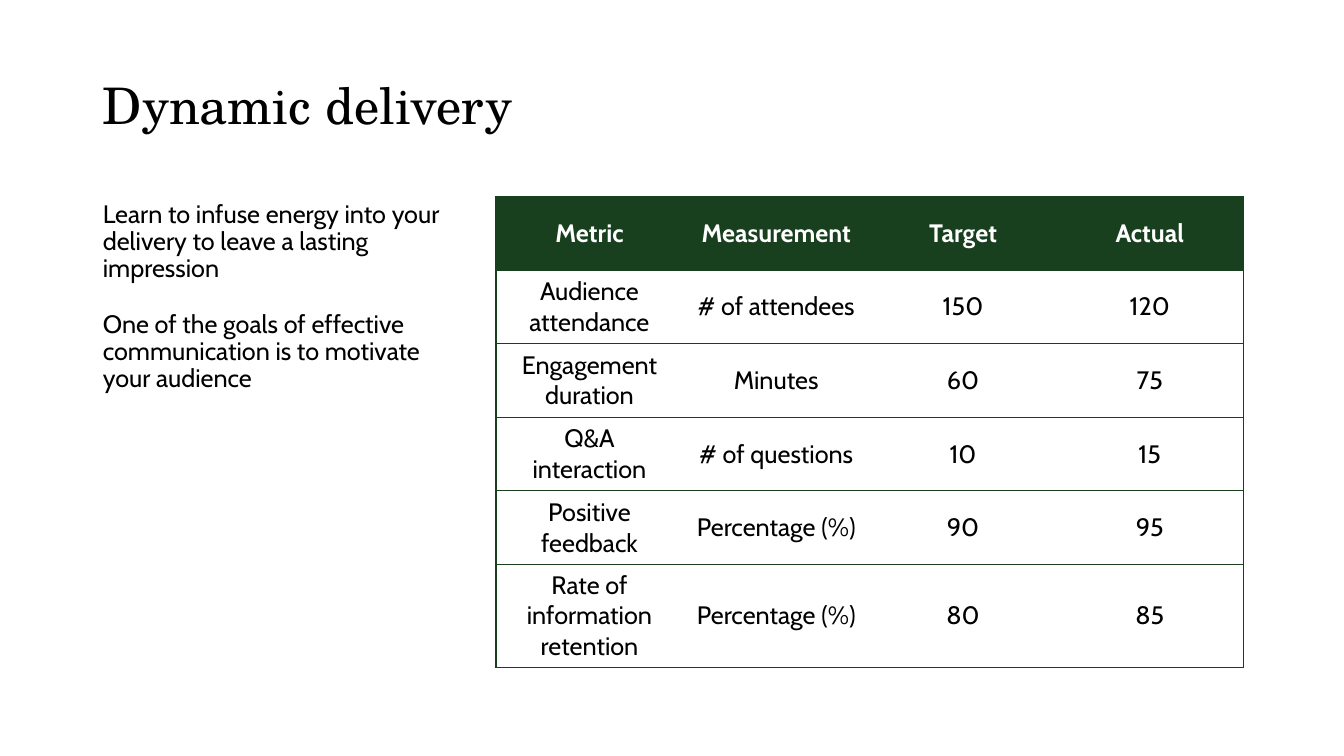
from dataclasses import dataclass

from pptx import Presentation
from pptx.dml.color import RGBColor
from pptx.enum.text import MSO_ANCHOR, MSO_AUTO_SIZE, PP_ALIGN
from pptx.oxml.ns import qn
from pptx.oxml.xmlchemy import OxmlElement
from pptx.util import Inches, Pt

TITLE = "Dynamic delivery"
POINTS = [
    "Learn to infuse energy into your delivery to leave a lasting impression",
    "One of the goals of effective communication is to motivate your audience",
]
METRICS = [
    ("Metric", "Measurement", "Target", "Actual"),
    ("Audience attendance", "# of attendees", "150", "120"),
    ("Engagement duration", "Minutes", "60", "75"),
    ("Q&A interaction", "# of questions", "10", "15"),
    ("Positive feedback", "Percentage (%)", "90", "95"),
    ("Rate of information retention", "Percentage (%)", "80", "85"),
]


@dataclass(frozen=True)
class Theme:
    heading_font: str = "TeX Gyre Schola"
    body_font: str = "Cabin"
    ink: str = "000000"
    green: str = "183F1E"
    white: str = "FFFFFF"
    title_size: int = 36
    body_size: int = 18
    border: int = 1


THEME = Theme()
LEFT, CONTENT_TOP = 0.92, 1.95
TABLE_LEFT, TABLE_WIDTH = 4.92, 7.41
ROW_HEIGHT, LAST_ROW_HEIGHT = 0.73, 1.02


def write(para, text, font=THEME.body_font, size=THEME.body_size,
          color=THEME.ink, bold=False, align=PP_ALIGN.LEFT):
    para.alignment = align
    span = para.add_run()
    span.text = text
    span.font.name = font
    span.font.size = Pt(size)
    span.font.bold = bold
    span.font.color.rgb = RGBColor.from_string(color)


def place(shape, left, top, width, height, anchor):
    shape.left, shape.top = Inches(left), Inches(top)
    shape.width, shape.height = Inches(width), Inches(height)
    frame = shape.text_frame
    frame.word_wrap = True
    frame.auto_size = MSO_AUTO_SIZE.NONE
    frame.vertical_anchor = anchor
    return frame


def add_title(page):
    frame = place(page.shapes.title, LEFT, 0.29, 11.36, 1.56, MSO_ANCHOR.MIDDLE)
    para = frame.paragraphs[0]
    para.line_spacing = 0.9
    write(para, TITLE, font=THEME.heading_font, size=THEME.title_size)


def add_points(page):
    frame = place(page.placeholders[1], LEFT, CONTENT_TOP, 3.82, 4.7, MSO_ANCHOR.TOP)
    for index, text in enumerate(POINTS):
        para = frame.add_paragraph() if index else frame.paragraphs[0]
        properties = para._p.get_or_add_pPr()
        properties.set("marL", "0")
        properties.set("indent", "0")
        properties.append(OxmlElement("a:buNone"))
        para.line_spacing = 0.9
        para.space_before = Pt(10 if index else 0)
        para.space_after = Pt(10)
        write(para, text)


def set_borders(cell, visible):
    properties = cell._tc.get_or_add_tcPr()
    for position, side in enumerate("LRTB"):
        line = OxmlElement(f"a:ln{side}")
        line.set("w", str(Pt(THEME.border)))
        if side in visible:
            fill = OxmlElement("a:solidFill")
            color = OxmlElement("a:srgbClr")
            color.set("val", THEME.green)
            fill.append(color)
        else:
            fill = OxmlElement("a:noFill")
        line.append(fill)
        properties.insert(position, line)


def add_metrics(page):
    row_count, column_count = len(METRICS), len(METRICS[0])
    heights = [ROW_HEIGHT] * (row_count - 1) + [LAST_ROW_HEIGHT]
    frame = page.shapes.add_table(
        row_count, column_count, Inches(TABLE_LEFT), Inches(CONTENT_TOP),
        Inches(TABLE_WIDTH), Inches(sum(heights)))
    table = frame.table
    table.horz_banding = False
    for column in table.columns:
        column.width = Inches(TABLE_WIDTH / column_count)
    for row, height in zip(table.rows, heights):
        row.height = Inches(height)
    for row_index, values in enumerate(METRICS):
        header = row_index == 0
        for column_index, text in enumerate(values):
            cell = table.cell(row_index, column_index)
            cell.vertical_anchor = MSO_ANCHOR.MIDDLE
            cell.fill.solid()
            cell.fill.fore_color.rgb = RGBColor.from_string(
                THEME.green if header else THEME.white)
            write(cell.text_frame.paragraphs[0], text, bold=header,
                  color=THEME.white if header else THEME.ink, align=PP_ALIGN.CENTER)
            visible = "TB"
            if column_index == 0:
                visible += "L"
            if column_index == column_count - 1:
                visible += "R"
            set_borders(cell, visible)


def main():
    deck = Presentation()
    deck.slide_width, deck.slide_height = Inches(13.33), Inches(7.5)
    page = deck.slides.add_slide(deck.slide_layouts[1])
    add_title(page)
    add_points(page)
    add_metrics(page)
    deck.save("out.pptx")


if __name__ == "__main__":
    main()
